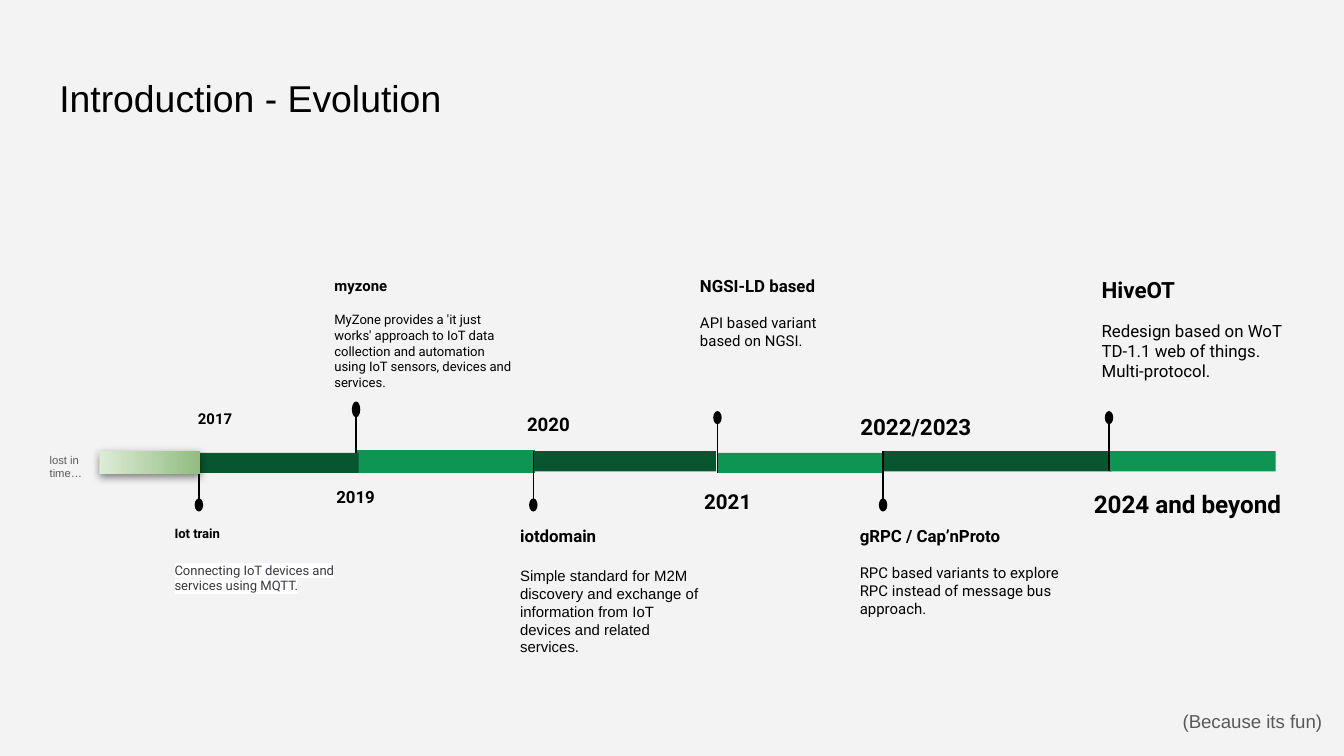
from dataclasses import dataclass

from lxml import etree
from pptx import Presentation
from pptx import util as u
from pptx.dml.color import RGBColor
from pptx.enum import shapes, text
from pptx.oxml import ns

BACKGROUND = RGBColor(0xF3, 0xF3, 0xF3)
BLACK = RGBColor(0, 0, 0)
GREY = RGBColor(0x59, 0x59, 0x59)
INK = RGBColor(0x3A, 0x38, 0x3F)
WHITE = RGBColor(0xFF, 0xFF, 0xFF)
DARK_GREEN = RGBColor(0x08, 0x56, 0x30)
GREEN = RGBColor(0x0E, 0x94, 0x53)
FADE_START = RGBColor(0xDC, 0xEC, 0xD5)
FADE_END = RGBColor(0x92, 0xBC, 0x81)

INSET = u.Cm(0.25)
DOT_WIDTH = 0.16


@dataclass(frozen=True)
class Milestone:
    year: str
    year_size: float
    year_left: float
    year_width: float
    name: str
    name_size: float
    story: str
    story_size: float
    story_left: float
    story_width: float
    bar_left: float
    bar_width: float
    bar_color: RGBColor
    story_above: bool
    gap: float = 9.5
    bar_top: float = 8.53
    bar_height: float = 0.38
    dot_height: float = 0.25
    dot_top: float = 7.77
    story_font: str = "Roboto"
    story_color: RGBColor = BLACK
    highlighted: bool = False


MILESTONES = [
    Milestone("2021", 11, 12.98, 1.55, "NGSI-LD based", 9,
              "API based variant based on NGSI.", 8, 12.98, 3.28,
              13.56, 3.12, GREEN, True, bar_top=8.56),
    Milestone("2022/2023", 12, 16, 2.62, "gRPC / Cap’nProto", 9,
              "RPC based variants to explore RPC instead of message bus approach.",
              8, 16, 4.52, 16.69, 4.32, DARK_GREEN, False, dot_top=9.42),
    Milestone("2019", 9, 5.97, 1.5, "myzone", 8,
              "MyZone provides a 'it just works' approach to IoT data collection "
              "and automation using IoT sensors, devices and services.",
              7, 6.07, 3.99, 6.73, 3.38, GREEN, True, bar_top=8.51,
              bar_height=0.43, dot_height=0.3, dot_top=7.59),
    Milestone("2020", 10, 9.5, 1.73, "iotdomain", 9,
              "Simple standard for M2M discovery and exchange of information "
              "from IoT devices and related services.",
              8, 9.58, 3.96, 10.08, 3.45, DARK_GREEN, False, gap=11,
              dot_top=9.42, story_font="Arial"),
    Milestone("2024 and beyond", 13, 20.37, 4.14, "HiveOT", 12,
              "Redesign based on WoT TD-1.1 web of things.\vMulti-protocol.",
              9, 20.57, 4.34, 20.96, 3.15, GREEN, True),
    Milestone("2017", 8, 3.25, 1.63, "Iot train", 7,
              "Connecting IoT devices and services using MQTT.",
              7, 3.05, 3.86, 3.76, 3.02, DARK_GREEN, False, gap=11,
              bar_top=8.56, dot_top=9.42, story_color=INK, highlighted=True),
]


def set_insets(frame) -> None:
    frame.margin_left = frame.margin_right = INSET
    frame.margin_top = frame.margin_bottom = INSET
    frame.word_wrap = True


def write(paragraph, words: str, size: float, font: str = "Roboto",
          color: RGBColor = BLACK, bold: bool = False) -> None:
    paragraph.text = words
    paragraph.font.size = u.Pt(size)
    paragraph.font.name = font
    paragraph.font.bold = bold
    paragraph.font.color.rgb = color


def add_text(slide, left: float, top: float, width: float, height: float):
    frame = slide.shapes.add_textbox(
        u.Cm(left), u.Cm(top), u.Cm(width), u.Cm(height)).text_frame
    set_insets(frame)
    return frame


def add_solid(slide, kind, left: float, top: float, width: float,
              height: float, color: RGBColor) -> None:
    solid = slide.shapes.add_shape(
        kind, u.Cm(left), u.Cm(top), u.Cm(width), u.Cm(height))
    solid.shadow.inherit = False
    solid.fill.solid()
    solid.fill.fore_color.rgb = color
    solid.line.fill.background()


def add_stem(slide, x: float, start: float, end: float) -> None:
    stem = slide.shapes.add_connector(
        shapes.MSO_CONNECTOR.STRAIGHT, u.Cm(x), u.Cm(start), u.Cm(x), u.Cm(end))
    stem.line.color.rgb = BLACK
    stem.line.width = u.Pt(0.75)
    etree.SubElement(stem._element.spPr, ns.qn("a:effectLst"))


def highlight(run, color: RGBColor) -> None:
    marker = etree.SubElement(run._r.get_or_add_rPr(), ns.qn("a:highlight"))
    etree.SubElement(marker, ns.qn("a:srgbClr"), val=str(color))


def add_milestone(slide, stone: Milestone) -> None:
    add_solid(slide, shapes.MSO_SHAPE.RECTANGLE, stone.bar_left, stone.bar_top,
              stone.bar_width, stone.bar_height, stone.bar_color)
    bar_end = stone.bar_top + (stone.bar_height if stone.story_above else 0)
    add_stem(slide, stone.bar_left, stone.dot_top + stone.dot_height / 2, bar_end)
    add_solid(slide, shapes.MSO_SHAPE.OVAL, stone.bar_left - DOT_WIDTH / 2,
              stone.dot_top, DOT_WIDTH, stone.dot_height, BLACK)

    year_top = 8.92 if stone.story_above else 7.49
    year = add_text(slide, stone.year_left, year_top,
                    stone.year_width, 1.04).paragraphs[0]
    write(year, stone.year, stone.year_size, bold=True)
    year.alignment = text.PP_ALIGN.CENTER
    year.line_spacing = 1.15

    story_top = 4.97 if stone.story_above else 9.69
    details = add_text(slide, stone.story_left, story_top, stone.story_width, 2.6)
    name = details.paragraphs[0]
    write(name, stone.name, stone.name_size, bold=True)
    name.space_after = u.Pt(stone.gap)
    story = details.add_paragraph()
    write(story, stone.story, stone.story_size, stone.story_font, stone.story_color)
    if stone.highlighted:
        highlight(story.runs[0], WHITE)


def add_lost_time(slide) -> None:
    fade = slide.shapes.add_shape(shapes.MSO_SHAPE.RECTANGLE, u.Cm(1.88),
                                  u.Cm(8.53), u.Cm(1.9), u.Cm(0.43))
    fade.line.fill.background()
    fade.fill.gradient()
    fade.fill.gradient_angle = 0
    for stop, color, position in zip(fade.fill.gradient_stops,
                                     (FADE_START, FADE_END), (0, 1)):
        stop.color.rgb = color
        stop.position = position
    effects = etree.SubElement(fade._element.spPr, ns.qn("a:effectLst"))
    shadow = etree.SubElement(
        effects, ns.qn("a:outerShdw"), blurRad=str(u.Pt(4.5)),
        dist=str(u.Pt(1.5)), dir="5400000", algn="bl", rotWithShape="0")
    tint = etree.SubElement(shadow, ns.qn("a:srgbClr"), val=str(BLACK))
    etree.SubElement(tint, ns.qn("a:alpha"), val="50000")


def main() -> None:
    deck = Presentation()
    deck.slide_width, deck.slide_height = u.Cm(25.4), u.Cm(14.29)
    slide = deck.slides.add_slide(deck.slide_layouts[5])
    slide.background.fill.solid()
    slide.background.fill.fore_color.rgb = BACKGROUND

    title = slide.shapes.title
    title.left, title.top = u.Cm(0.87), u.Cm(1.11)
    title.width, title.height = u.Cm(23.67), u.Cm(1.47)
    set_insets(title.text_frame)
    title.text_frame.auto_size = text.MSO_AUTO_SIZE.NONE
    title.text_frame.vertical_anchor = text.MSO_ANCHOR.MIDDLE
    heading = title.text_frame.paragraphs[0]
    write(heading, "Introduction - Evolution", 20, "Arial")
    heading.alignment = text.PP_ALIGN.LEFT

    for stone in MILESTONES:
        add_milestone(slide, stone)

    add_lost_time(slide)
    lost = add_text(slide, 0.69, 8.31, 1.32, 1.07)
    write(lost.paragraphs[0], "lost in time…", 6, "Arial", GREY)
    aside = add_text(slide, 22.1, 13.21, 3.2, 0.94)
    write(aside.paragraphs[0], "(Because its fun)", 10, "Arial", GREY)

    deck.save("out.pptx")


if __name__ == "__main__":
    main()
